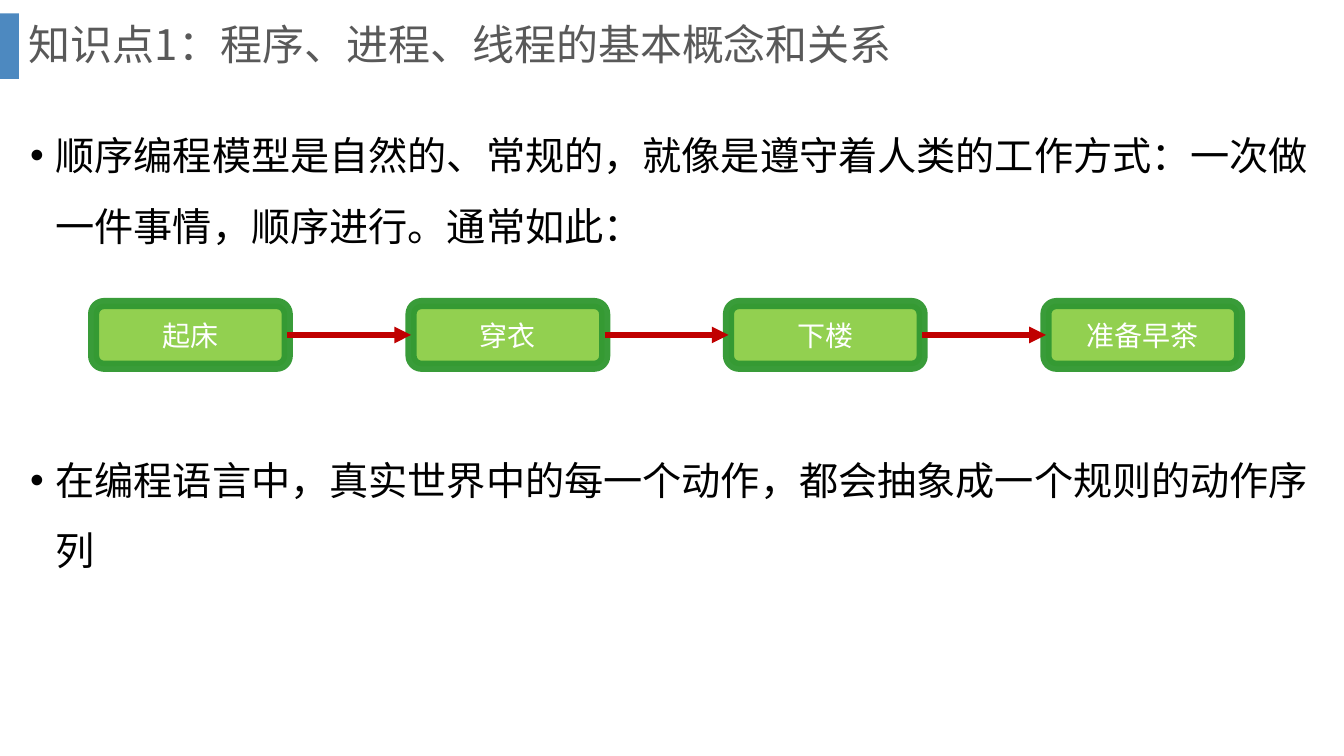
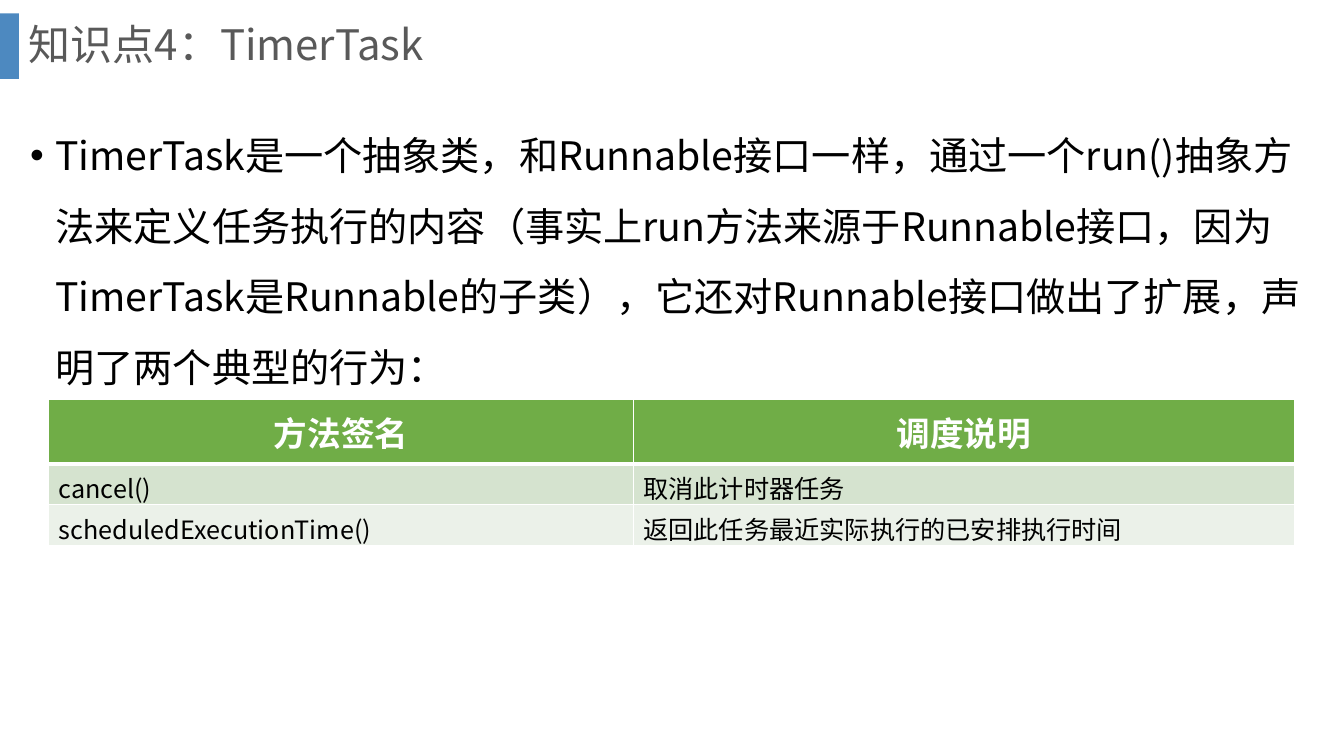
from lxml import etree
from pptx import Presentation
from pptx import util as u
from pptx.dml.color import RGBColor
from pptx.enum import shapes, text
from pptx.oxml import ns

FONT = "Noto Sans CJK SC"
BLACK = RGBColor(0x00, 0x00, 0x00)
WHITE = RGBColor(0xFF, 0xFF, 0xFF)
TITLE_GRAY = RGBColor(0x59, 0x59, 0x59)
BAND_BLUE = RGBColor(0x2E, 0x75, 0xB6)
STEP_FILL = RGBColor(0x92, 0xD0, 0x50)
STEP_LINE = RGBColor(0x33, 0x99, 0x33)
ARROW_RED = RGBColor(0xC0, 0x00, 0x00)
HEADER_GREEN = RGBColor(0x70, 0xAD, 0x47)
ROW_GREENS = (RGBColor(0xD5, 0xE3, 0xCF), RGBColor(0xEB, 0xF1, 0xE9))

BULLET_INDENT = u.Cm(0.64)
BULLET_PITCH = u.Pt(50.4)


def add_xml(parent, tag, **attrs):
    return etree.SubElement(parent, ns.qn(tag), attrs)


def set_opacity(sp, part, percent):
    """Set the opacity of the solid colour found at part of the shape properties."""
    for clr in sp.element.xpath(f"./p:spPr/{part}a:solidFill/a:srgbClr"):
        add_xml(clr, "a:alpha", val=str(percent * 1000))


def write(p, content, size, color, bold=False, align=None):
    if align is not None:
        p.alignment = align
    r = p.add_run()
    r.text = content
    f = r.font
    f.size, f.bold, f.name = u.Pt(size), bold, FONT
    f.color.rgb = color
    add_xml(r.element if hasattr(r, "element") else r._r.rPr, "a:ea", typeface=FONT)


def add_box(s, left, top, width, height, anchor=text.MSO_ANCHOR.TOP):
    tf = s.shapes.add_textbox(u.Cm(left), u.Cm(top), u.Cm(width), u.Cm(height)).text_frame
    tf.word_wrap = True
    tf.vertical_anchor = anchor
    return tf


def add_filled_shape(s, kind, left, top, width, height, color):
    sp = s.shapes.add_shape(kind, u.Cm(left), u.Cm(top), u.Cm(width), u.Cm(height))
    sp.shadow.inherit = False
    sp.fill.solid()
    sp.fill.fore_color.rgb = color
    return sp


def add_titled_slide(prs, title):
    s = prs.slides.add_slide(prs.slide_layouts[6])
    band = add_filled_shape(s, shapes.MSO_SHAPE.RECTANGLE, 0, 0.34, 0.48, 1.65, BAND_BLUE)
    band.line.fill.background()
    set_opacity(band, "", 85)
    tf = add_box(s, 0.48, 0, 32.16, 2.36, text.MSO_ANCHOR.MIDDLE)
    tf.paragraphs[0].line_spacing = 0.9
    write(tf.paragraphs[0], title, 30, TITLE_GRAY)
    return s


def add_bullets(s, items, gap=0):
    """Add bulleted paragraphs, with gap points between them."""
    tf = add_box(s, 0.51, 2.6, 32.8, 15.1)
    for i, item in enumerate(items):
        p = tf.add_paragraph() if i else tf.paragraphs[0]
        p.line_spacing = BULLET_PITCH
        if i:
            p.space_before = u.Pt(gap)
        pPr = p._p.get_or_add_pPr()
        pPr.set("marL", str(BULLET_INDENT))
        pPr.set("indent", str(-BULLET_INDENT))
        add_xml(pPr, "a:buFont", typeface="Arial")
        add_xml(pPr, "a:buChar", char="•")
        write(p, item, 28, BLACK)


def add_step(s, label, left):
    sp = add_filled_shape(s, shapes.MSO_SHAPE.ROUNDED_RECTANGLE, left, 7.65, 4.88, 1.58, STEP_FILL)
    sp.line.color.rgb = STEP_LINE
    sp.line.width = u.Pt(8)
    set_opacity(sp, "a:ln/", 96)
    tf = sp.text_frame
    tf.vertical_anchor = text.MSO_ANCHOR.MIDDLE
    write(tf.paragraphs[0], label, 20, WHITE, align=text.PP_ALIGN.CENTER)
    return sp


def add_arrow(s, start, end):
    """Join the right side of start to the left side of end."""
    cn = s.shapes.add_connector(shapes.MSO_CONNECTOR.STRAIGHT, 0, 0, 0, 0)
    cn.begin_connect(start, 3)
    cn.end_connect(end, 1)
    cn.line.color.rgb = ARROW_RED
    cn.line.width = u.Pt(4)
    spPr = cn.element.spPr
    add_xml(spPr.find(ns.qn("a:ln")), "a:tailEnd", type="triangle")
    add_xml(spPr, "a:effectLst")


def add_flow(s, labels):
    steps = [add_step(s, label, 2.36 + 8 * i) for i, label in enumerate(labels)]
    for start, end in zip(steps, steps[1:]):
        add_arrow(s, start, end)


def set_borders(cell, **widths):
    tcPr = cell._tc.get_or_add_tcPr()
    for side in "LRTB":
        ln = add_xml(tcPr, f"a:ln{side}", w=str(u.Pt(widths.get(side, 1))))
        add_xml(add_xml(ln, "a:solidFill"), "a:srgbClr", val=str(WHITE))


def add_method_table(s, rows):
    col_widths, row_heights = (14.73, 16.66), (1.63, 1.03, 1.03)
    table = s.shapes.add_table(len(rows), len(col_widths), u.Cm(1.23), u.Cm(10.06),
                               u.Cm(sum(col_widths)), u.Cm(sum(row_heights))).table
    for column, width in zip(table.columns, col_widths):
        column.width = u.Cm(width)
    for i, (row, height) in enumerate(zip(rows, row_heights)):
        table.rows[i].height = u.Cm(height)
        for j, content in enumerate(row):
            cell = table.cell(i, j)
            set_borders(cell, T=3 if i == 1 else 1, B=1 if i else 3)
            cell.fill.solid()
            p = cell.text_frame.paragraphs[0]
            if i == 0:
                cell.fill.fore_color.rgb = HEADER_GREEN
                cell.vertical_anchor = text.MSO_ANCHOR.MIDDLE
                write(p, content, 24, WHITE, bold=True, align=text.PP_ALIGN.CENTER)
            else:
                cell.fill.fore_color.rgb = ROW_GREENS[(i - 1) % 2]
                write(p, content, 18, BLACK)


def main():
    prs = Presentation()
    prs.slide_width, prs.slide_height = u.Cm(33.87), u.Cm(19.05)

    s = add_titled_slide(prs, "知识点1：程序、进程、线程的基本概念和关系")
    add_bullets(s, [
        "顺序编程模型是自然的、常规的，就像是遵守着人类的工作方式：一次做一件事情，顺序进行。通常如此：",
        "在编程语言中，真实世界中的每一个动作，都会抽象成一个规则的动作序列",
    ], gap=131)
    add_flow(s, ["起床", "穿衣", "下楼", "准备早茶"])

    s = add_titled_slide(prs, "知识点4：TimerTask")
    add_bullets(s, [
        "TimerTask是一个抽象类，和Runnable接口一样，通过一个run()抽象方法来定义任务执行的内容"
        "（事实上run方法来源于Runnable接口，因为TimerTask是Runnable的子类），"
        "它还对Runnable接口做出了扩展，声明了两个典型的行为：",
    ])
    add_method_table(s, [
        ("方法签名", "调度说明"),
        ("cancel()", "取消此计时器任务"),
        ("scheduledExecutionTime()", "返回此任务最近实际执行的已安排执行时间"),
    ])

    prs.save("out.pptx")


if __name__ == "__main__":
    main()
